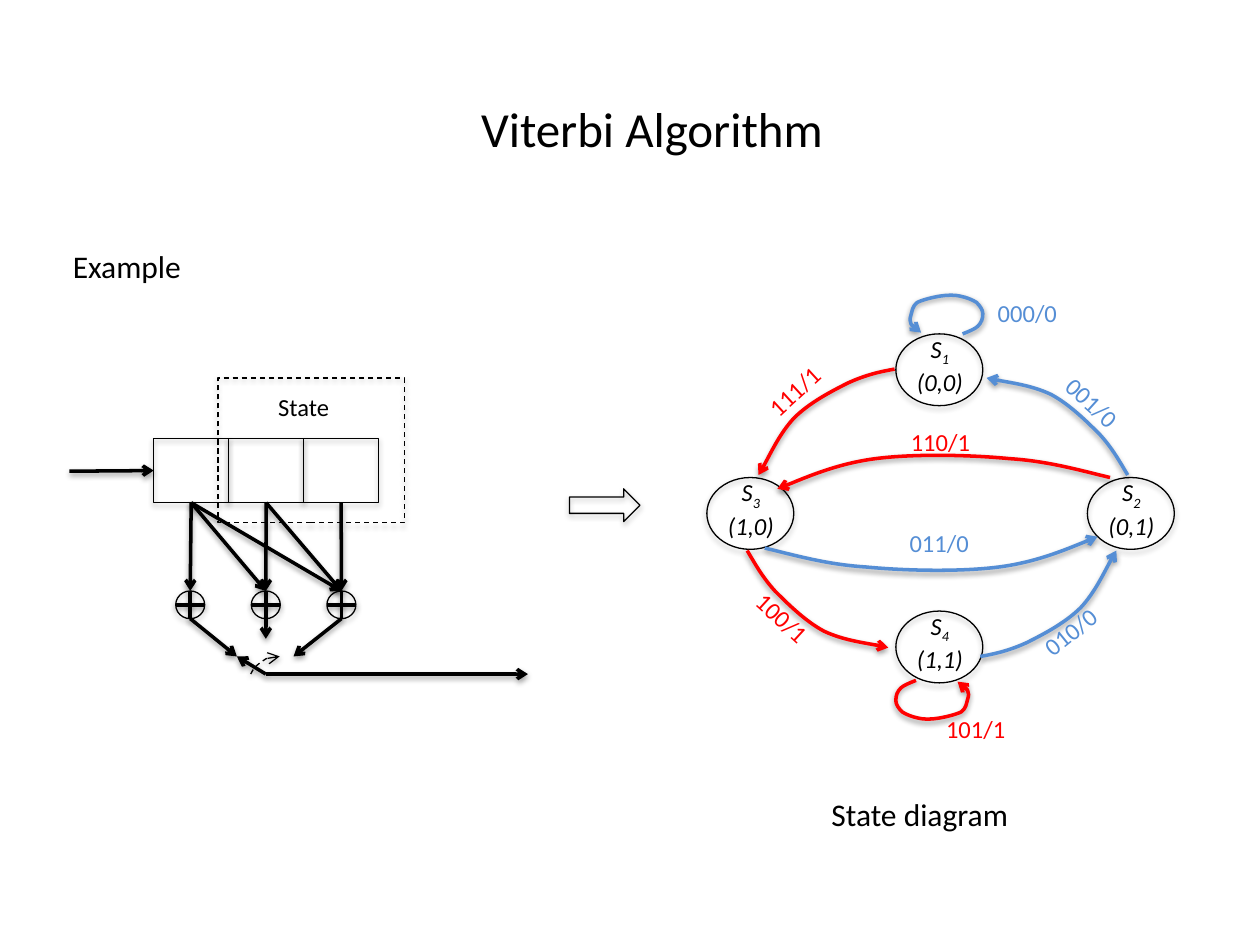
from lxml import etree
from pptx import Presentation
from pptx import util as u
from pptx.dml.color import RGBColor
from pptx.enum import dml, shapes, text
from pptx.oxml.ns import qn

BLACK = RGBColor(0x00, 0x00, 0x00)
RED = RGBColor(0xFF, 0x00, 0x00)
BLUE = RGBColor(0x55, 0x8E, 0xD5)
COLS, ROWS = 100, 75
THIN, THICK = 0.75, 2


class Diagram:
    """Style and current slide; lengths are columns and rows of a 100 x 75 grid."""

    font = "Calibri"

    def __init__(self, prs):
        self.s = prs.slides.add_slide(prs.slide_layouts[6])
        self.col = prs.slide_width / COLS
        self.row = prs.slide_height / ROWS

    def place(self, x, y):
        return u.Emu(round(x * self.col)), u.Emu(round(y * self.row))

    def stroke(self, sp, color, width, dash=False, arrow=False, dist=20000, alpha=38000):
        """Set the line, its arrowhead and the soft shadow below it."""
        sp.line.color.rgb = color
        sp.line.width = u.Pt(width)
        if dash:
            sp.line.dash_style = dml.MSO_LINE.DASH
        spPr = sp._element.spPr
        if arrow:
            etree.SubElement(spPr.find(qn("a:ln")), qn("a:tailEnd"), type="arrow")
        effects = spPr.find(qn("a:effectLst"))
        if effects is None:
            effects = etree.SubElement(spPr, qn("a:effectLst"))
        shadow = etree.SubElement(effects, qn("a:outerShdw"), blurRad="40000",
                                  dist=str(dist), dir="5400000", rotWithShape="0")
        clr = etree.SubElement(shadow, qn("a:srgbClr"), val="000000")
        etree.SubElement(clr, qn("a:alpha"), val=str(alpha))

    def outline(self, kind, x, y, w, h, dash=False):
        sp = self.s.shapes.add_shape(kind, *self.place(x, y), *self.place(w, h))
        sp.shadow.inherit = False
        sp.fill.background()
        self.stroke(sp, BLACK, THIN, dash, dist=23000, alpha=35000)
        return sp

    def line(self, start, end, arrow=True):
        c = self.s.shapes.add_connector(shapes.MSO_CONNECTOR.STRAIGHT,
                                        *self.place(*start), *self.place(*end))
        self.stroke(c, BLACK, THICK, arrow=arrow)
        return c

    def curve(self, points, color, width=THICK, dash=False):
        """Draw an arrow along Bezier points: a start, then three per segment."""
        spots = [self.place(*pt) for pt in points]
        builder = self.s.shapes.build_freeform(*spots[0], scale=1.0)
        builder.add_line_segments(spots[1:], close=False)
        sp = builder.convert_to_shape()
        sp.shadow.inherit = False
        sp.fill.background()
        self.stroke(sp, color, width, dash, arrow=True)
        steps = sp._element.xpath(".//a:lnTo")
        for i in range(0, len(steps), 3):
            bezier = etree.Element(qn("a:cubicBezTo"))
            steps[i].addprevious(bezier)
            for step in steps[i:i + 3]:
                bezier.append(step[0])
                step.getparent().remove(step)

    def label(self, words, x, y, w, h, size=14, color=BLACK, turn=0, wrap=False):
        sp = self.s.shapes.add_textbox(*self.place(x, y), *self.place(w, h))
        sp.rotation = turn
        tf = sp.text_frame
        tf.word_wrap = wrap
        tf.auto_size = text.MSO_AUTO_SIZE.SHAPE_TO_FIT_TEXT
        tf.text = words
        for p in tf.paragraphs:
            p.font.name = self.font
            for r in p.runs:
                r.font.name = self.font
                r.font.size = u.Pt(size)
                r.font.color.rgb = color
        return tf

    def state(self, number, bits, x, y):
        self.outline(shapes.MSO_SHAPE.OVAL, x, y, 6.9, 5.7)
        tf = self.label(f"S\n{bits}", x + 0.5, y - 0.5, 6, 5.7)
        sub = tf.paragraphs[0].add_run()
        sub.text = str(number)
        sub.font.name = self.font
        sub.font.size = u.Pt(14)
        sub.font.color.rgb = BLACK
        sub._r.get_or_add_rPr().set("baseline", "-25000")
        for p in tf.paragraphs:
            p.alignment = text.PP_ALIGN.CENTER
            for r in p.runs:
                r.font.italic = True

    def adder(self, x, y):
        """Draw a circled plus centred on x, y."""
        rx, ry = 1.15, 1.1
        self.line((x - rx, y), (x + rx, y), arrow=False)
        self.line((x, y - ry), (x, y + ry), arrow=False)
        return self.outline(shapes.MSO_SHAPE.OVAL, x - rx, y - ry, 2 * rx, 2 * ry)


def half_turn(points, cx, cy):
    return [(2 * cx - x, 2 * cy - y) for x, y in points]


def draw_encoder(d):
    taps = [15.1 + 6 * i for i in range(3)]
    cells = [d.outline(shapes.MSO_SHAPE.RECTANGLE, 12.2 + 5.95 * i, 34.8, 5.95, 5.1)
             for i in range(3)]
    adders = [d.adder(x, 48) for x in taps]
    d.line((5.5, 37.4), (12.2, 37.4)).end_connect(cells[0], 1)
    for i, j in [(0, 0), (1, 1), (2, 2), (0, 1), (1, 2), (0, 2)]:
        c = d.line((taps[i], 39.9), (taps[j], 46.9))
        c.begin_connect(cells[i], 2)
        c.end_connect(adders[j], 0)
    for x, end in zip(taps, [(18.8, 52.1), (21.1, 50.7), (23.3, 52.1)]):
        d.line((x, 49.1), end)

    d.outline(shapes.MSO_SHAPE.RECTANGLE, 17.3, 30, 14.8, 11.5, dash=True)
    d.label("State", 21.1, 30.6, 8.4, 3.4, wrap=True)
    pivot = (21.1, 53.5)
    d.line(pivot, (18.8, 52.1))
    d.curve([(19.9, 53.5), (20, 53.3), (20.1, 53.1), (20.3, 52.9), (20.5, 52.7),
             (20.8, 52.5), (21.1, 52.3), (21.4, 52.2), (22.2, 52.1), (22.2, 52.1)],
            BLACK, THIN, dash=True)
    d.line(pivot, (41.9, 53.5))


def draw_state_diagram(d):
    for number, bits, x, y in [(1, "(0,0)", 71.1, 26.5), (2, "(0,1)", 86.3, 37.9),
                               (3, "(1,0)", 56.1, 37.9), (4, "(1,1)", 71.1, 48.5)]:
        d.state(number, bits, x, y)

    centre, loop_centre = (74.4, 40.7), (74.55, 40.25)
    s1_to_s3 = [(71, 29.3), (69.8, 29.5), (68.6, 29.8), (67.3, 30.4), (65.9, 31.1),
                (64.2, 32), (63, 33.2), (61.9, 34.4), (60.7, 36.9), (60.2, 37.7)]
    s3_to_s4 = [(59.3, 43.7), (59.9, 44.7), (60.5, 45.8), (61.5, 46.9), (62.5, 47.9),
                (63.9, 49.3), (65.4, 50.1), (66.9, 50.8), (69.7, 51.2), (70.5, 51.4)]
    s3_to_s2 = [(60.7, 43.5), (63.2, 44.1), (65.6, 44.8), (68.7, 45), (71.8, 45.3),
                (76.2, 45.4), (79.3, 45), (82.4, 44.6), (87.1, 42.6), (87.1, 42.6)]
    s1_loop = [(76.4, 26.5), (76.9, 26.3), (77.4, 26.1), (77.6, 25.9), (77.9, 25.6),
               (78, 25.3), (78, 24.9), (78, 24.6), (77.8, 24.3), (77.5, 24),
               (77.2, 23.8), (76.7, 23.6), (76.2, 23.5), (75.8, 23.4), (75.2, 23.4),
               (74.6, 23.5), (74, 23.6), (73.2, 23.8), (72.8, 24), (72.4, 24.3),
               (72.4, 24.7), (72.3, 25), (72.2, 25.3), (72.2, 25.5), (72.3, 25.7),
               (72.4, 25.9), (73.1, 26.4), (73.1, 26.4)]
    # Each transition has an opposite one, half a turn away in the other colour.
    for points, color, opposite, pivot in [(s1_to_s3, RED, BLUE, centre),
                                           (s3_to_s4, RED, BLUE, centre),
                                           (s3_to_s2, BLUE, RED, centre),
                                           (s1_loop, BLUE, RED, loop_centre)]:
        d.curve(points, color)
        d.curve(half_turn(points, *pivot), opposite)

    for words, x, y, color, turn in [
            ("111/1", 59.7, 29.3, RED, 317.4), ("100/1", 58.7, 47.4, RED, 42.5),
            ("010/0", 81.6, 48.4, BLUE, 321.1), ("001/0", 83.3, 30.3, BLUE, 42.2),
            ("110/1", 71.3, 33.4, RED, 0), ("011/0", 71.2, 41.4, BLUE, 0),
            ("000/0", 78.2, 23.2, BLUE, 0), ("101/1", 74.1, 56.2, RED, 0)]:
        d.label(words, x, y, 6.8, 3.4, color=color, turn=turn)


def main():
    prs = Presentation()
    prs.slide_width, prs.slide_height = u.Inches(10), u.Inches(7.5)
    d = Diagram(prs)
    d.label("Viterbi Algorithm", 37.2, 7.3, 29.4, 5.7, size=28)
    d.label("Example", 4.8, 19.1, 10.7, 4, size=18)
    draw_encoder(d)
    d.outline(shapes.MSO_SHAPE.RIGHT_ARROW, 45.2, 38.8, 5.6, 2.6)
    draw_state_diagram(d)
    d.label("State diagram", 65, 62.6, 16.2, 4, size=18)
    prs.save("out.pptx")


if __name__ == "__main__":
    main()
